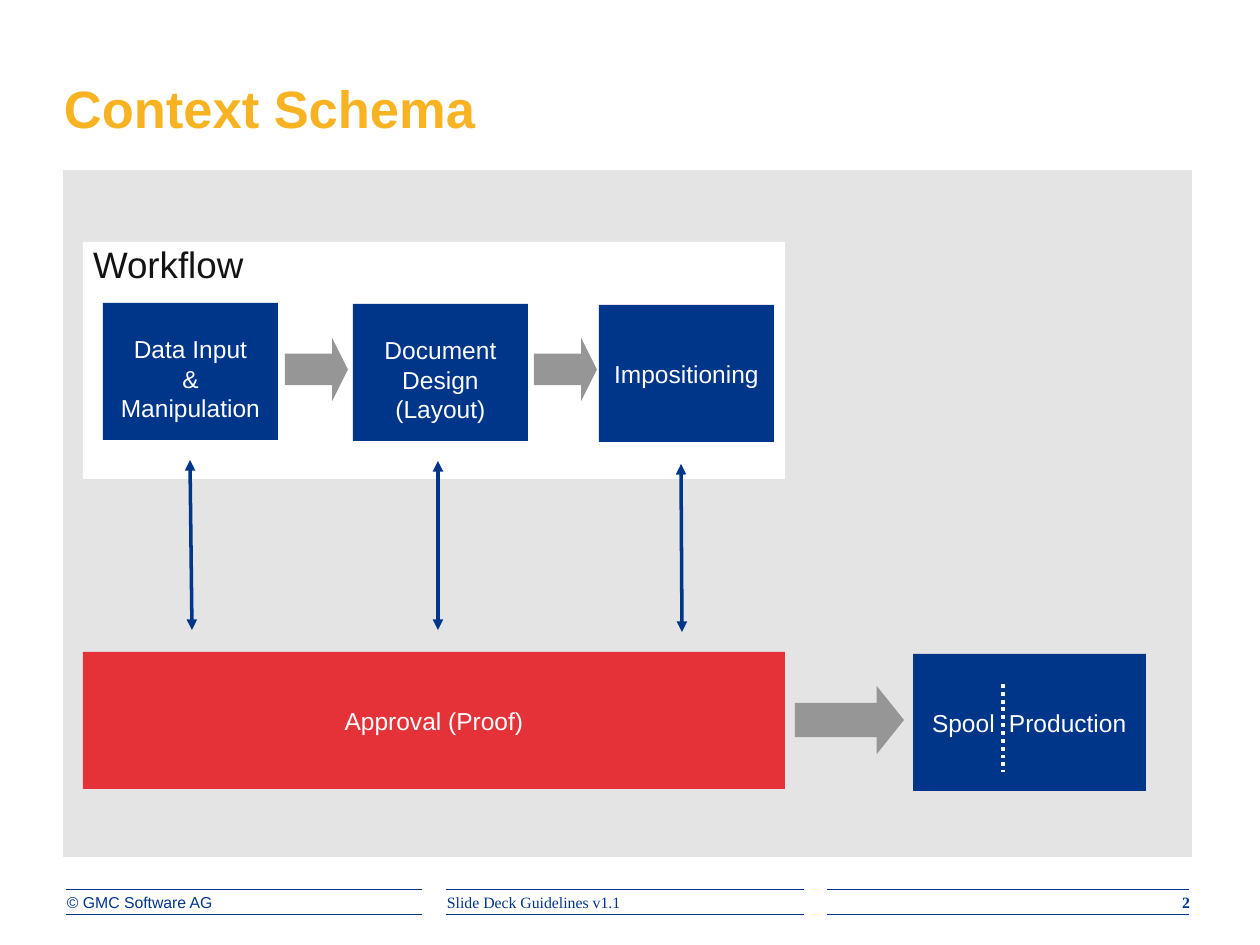
import dataclasses

import pptx
import pptx.dml.color
import pptx.enum.dml
import pptx.enum.shapes
import pptx.enum.text
import pptx.oxml.ns
import pptx.util
from lxml import etree

PX_PER_INCH = 126
ALIGN = pptx.enum.text.PP_ALIGN
ANCHOR = pptx.enum.text.MSO_ANCHOR
SHAPE = pptx.enum.shapes.MSO_SHAPE


@dataclasses.dataclass(frozen=True)
class Theme:
    blue: str = "00368A"
    red: str = "E53138"
    orange: str = "F8B323"
    panel: str = "E4E4E4"
    arrow: str = "969696"
    white: str = "FFFFFF"
    dark: str = "131313"
    sans: str = "Arial"
    serif: str = "Times New Roman"
    title_size: int = 30
    heading_size: int = 21
    box_size: int = 14
    footer_size: int = 9


THEME = Theme()


def px(length):
    return pptx.util.Emu(round(length * 914400 / PX_PER_INCH))


def rgb(colour):
    return pptx.dml.color.RGBColor.from_string(colour)


def add_xml(parent, tag, **attributes):
    return etree.SubElement(parent, pptx.oxml.ns.qn(tag), attributes)


def write(frame, text, size=THEME.box_size, colour=THEME.white, font=THEME.sans, bold=False,
          align=ALIGN.LEFT, anchor=ANCHOR.TOP, insets=(0, 0, 0, 0), wrap=True, tab=None):
    """Fill a frame, one paragraph a line; insets run left, top, right, bottom."""
    frame.word_wrap = wrap
    frame.auto_size = pptx.enum.text.MSO_AUTO_SIZE.NONE
    frame.vertical_anchor = anchor
    frame.margin_left, frame.margin_top, frame.margin_right, frame.margin_bottom = map(px, insets)
    for index, line in enumerate(text.split("\n")):
        para = frame.add_paragraph() if index else frame.paragraphs[0]
        para.alignment = align
        if tab:
            stops = add_xml(para._p.get_or_add_pPr(), "a:tabLst")
            add_xml(stops, "a:tab", pos=str(px(tab)), algn="l")
        span = para.add_run()
        span.text = line
        span.font.name = font
        span.font.size = pptx.util.Pt(size)
        span.font.bold = bold
        span.font.color.rgb = rgb(colour)


class Page:
    def __init__(self, deck, theme):
        self.theme = theme
        self.slide = deck.slides.add_slide(deck.slide_layouts[5])
        self.shapes = self.slide.shapes

    def title(self, text, left, top, width, height):
        holder = self.shapes.title
        holder.left, holder.top, holder.width, holder.height = map(px, (left, top, width, height))
        write(holder.text_frame, text, size=self.theme.title_size, colour=self.theme.orange,
              bold=True, anchor=ANCHOR.BOTTOM)

    def shape(self, kind, fill, left, top, width, height):
        shape = self.shapes.add_shape(kind, *map(px, (left, top, width, height)))
        shape.shadow.inherit = False
        shape.fill.solid()
        shape.fill.fore_color.rgb = rgb(fill)
        shape.line.fill.background()
        return shape

    def panel(self, fill, left, top, width, height):
        return self.shape(SHAPE.RECTANGLE, fill, left, top, width, height)

    def box(self, text, fill, left, top, width, height, **style):
        style = {"align": ALIGN.CENTER, "insets": (13, 6, 13, 6)} | style
        box = self.panel(fill, left, top, width, height)
        write(box.text_frame, text, anchor=ANCHOR.MIDDLE, wrap=False, **style)

    def arrow(self, left, top, width, height, head):
        arrow = self.shape(SHAPE.RIGHT_ARROW, self.theme.arrow, left, top, width, height)
        arrow.adjustments[0] = 0.5
        arrow.adjustments[1] = head

    def line(self, start, end, colour, weight, two_way=False, dash=None):
        line = self.shapes.add_connector(pptx.enum.shapes.MSO_CONNECTOR.STRAIGHT,
                                         *map(px, (*start, *end)))
        line.line.color.rgb = rgb(colour)
        line.line.width = pptx.util.Pt(weight)
        if dash:
            line.line.dash_style = dash
        if two_way:
            for end_tag in ("a:headEnd", "a:tailEnd"):
                add_xml(line.line._get_or_add_ln(), end_tag, type="triangle")
        add_xml(line._element.spPr, "a:effectLst")

    def label(self, text, left, top, width, height, **style):
        label = self.shapes.add_textbox(*map(px, (left, top, width, height)))
        write(label.text_frame, text, size=self.theme.footer_size, colour=self.theme.blue, **style)


def draw_footer(page):
    for left, right in ((66, 422), (446, 804), (827, 1189)):
        for y in (889, 914):
            page.line((left, y), (right, y), THEME.blue, 0.5)
    page.label("© GMC Software AG", 67, 893, 354, 25, wrap=False)
    page.label("Slide Deck Guidelines v1.1", 447, 893, 355, 28, font=THEME.serif)
    page.label("2", 1091, 893, 99, 25, font=THEME.serif, bold=True, align=ALIGN.RIGHT)


def draw_workflow(page):
    workflow = page.panel(THEME.white, 83, 242, 702, 237)
    write(workflow.text_frame, "Workflow", size=THEME.heading_size, colour=THEME.dark,
          insets=(10, 0, 0, 0))
    low = (13, 20, 13, 6)
    steps = (
        ("Data Input\n&\nManipulation", 103, 303, low),
        ("Document\nDesign\n(Layout)", 353, 304, low),
        ("Impositioning", 599, 305, (13, 6, 13, 6)),
    )
    for text, left, top, insets in steps:
        page.box(text, THEME.blue, left, top, 175, 137, insets=insets)
    for left in (285, 534):
        page.arrow(left, 338, 63, 63, head=0.25)


def draw_approval(page):
    page.box("Approval (Proof)", THEME.red, 83, 652, 702, 137)
    page.box("Spool\tProduction", THEME.blue, 913, 654, 233, 137,
             align=ALIGN.LEFT, insets=(19, 6, 13, 6), tab=77)
    page.arrow(795, 686, 109, 68, head=0.4)
    page.line((1003, 684), (1003, 772), THEME.white, 2.25,
              dash=pptx.enum.dml.MSO_LINE.ROUND_DOT)
    for start, end in (((192, 630), (190, 460)), ((438, 630), (438, 461)), ((682, 632), (681, 464))):
        page.line(start, end, THEME.blue, 2, two_way=True)


def main():
    deck = pptx.Presentation()
    deck.slide_width, deck.slide_height = px(1260), px(945)
    page = Page(deck, THEME)
    draw_footer(page)
    page.panel(THEME.panel, 63, 170, 1129, 687)
    page.title("Context Schema", 64, 53, 859, 86)
    draw_workflow(page)
    draw_approval(page)
    deck.save("out.pptx")


if __name__ == "__main__":
    main()
